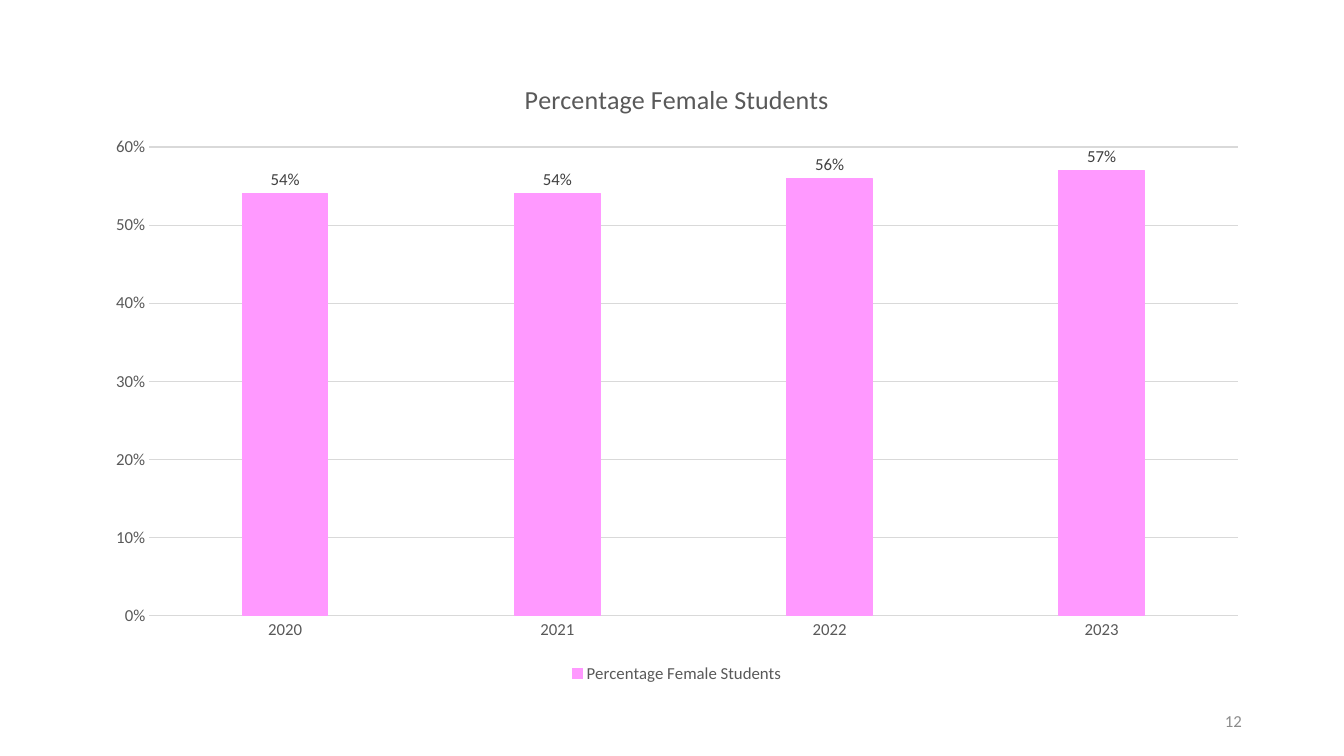
from pptx import Presentation
from pptx.chart.data import CategoryChartData
from pptx.dml.color import RGBColor
from pptx.enum.chart import XL_CHART_TYPE, XL_LABEL_POSITION, XL_LEGEND_POSITION, XL_TICK_MARK
from pptx.enum.text import MSO_ANCHOR, PP_ALIGN
from pptx.util import Cm, Pt

COLORS = {
    "bar": "FF99FF",
    "grid": "D9D9D9",
    "text": "595959",
    "label": "404040",
    "page": "8C8C8C",
}
TITLE = "Percentage Female Students"
SHARES = {"2020": 0.54, "2021": 0.54, "2022": 0.56, "2023": 0.57}


def set_attributes(target, values):
    for name, value in values.items():
        setattr(target, name, value)


def format_font(font, color, size=12):
    set_attributes(font, {"name": "Calibri", "size": Pt(size), "bold": False})
    font.color.rgb = RGBColor.from_string(COLORS[color])


def format_line(line, color):
    line.color.rgb = RGBColor.from_string(COLORS[color])
    line.width = Pt(0.75)


def format_axes(chart):
    for axis in (chart.category_axis, chart.value_axis):
        set_attributes(axis, {
            "major_tick_mark": XL_TICK_MARK.NONE,
            "minor_tick_mark": XL_TICK_MARK.NONE,
        })
        format_font(axis.tick_labels.font, "text")
    format_line(chart.category_axis.format.line, "grid")

    value_axis = chart.value_axis
    set_attributes(value_axis, {
        "minimum_scale": 0,
        "maximum_scale": 0.6,
        "major_unit": 0.1,
        "has_major_gridlines": True,
    })
    set_attributes(value_axis.tick_labels, {
        "number_format": "0%",
        "number_format_is_linked": False,
    })
    value_axis.format.line.fill.background()
    format_line(value_axis.major_gridlines.format.line, "grid")


def format_bars(plot):
    set_attributes(plot, {
        "gap_width": 219,
        "overlap": -27,
        "vary_by_categories": False,
    })
    series = plot.series[0]
    series.format.fill.solid()
    series.format.fill.fore_color.rgb = RGBColor.from_string(COLORS["bar"])
    format_line(series.format.line, "bar")
    labels = series.data_labels
    set_attributes(labels, {
        "show_value": True,
        "number_format": "0%",
        "number_format_is_linked": False,
        "position": XL_LABEL_POSITION.OUTSIDE_END,
    })
    format_font(labels.font, "label")


def add_share_chart(slide):
    data = CategoryChartData(number_format="0%")
    data.categories = list(SHARES)
    data.add_series(TITLE, list(SHARES.values()))
    chart = slide.shapes.add_chart(
        XL_CHART_TYPE.COLUMN_CLUSTERED,
        Cm(2.34), Cm(1.47), Cm(29.44), Cm(15.85), data,
    ).chart

    # Title and legend
    set_attributes(chart, {"has_title": True, "has_legend": True})
    title_paragraph = chart.chart_title.text_frame.paragraphs[0]
    title_run = title_paragraph.add_run()
    title_run.text = TITLE
    format_font(title_run.font, "text", 18.6)
    set_attributes(chart.legend, {
        "position": XL_LEGEND_POSITION.BOTTOM,
        "include_in_layout": False,
    })
    format_font(chart.legend.font, "text")

    format_axes(chart)
    format_bars(chart.plots[0])


def add_page_number(slide, number):
    text_box = slide.shapes.add_textbox(Cm(23.93), Cm(17.65), Cm(7.62), Cm(1.02))
    text_frame = text_box.text_frame
    set_attributes(text_frame, {
        "word_wrap": True,
        "vertical_anchor": MSO_ANCHOR.MIDDLE,
    })
    paragraph = text_frame.paragraphs[0]
    paragraph.alignment = PP_ALIGN.RIGHT
    run = paragraph.add_run()
    run.text = number
    format_font(run.font, "page")


def main():
    presentation = Presentation()
    presentation.slide_width = Cm(33.87)
    presentation.slide_height = Cm(19.05)
    slide = presentation.slides.add_slide(presentation.slide_layouts[6])
    add_share_chart(slide)
    add_page_number(slide, "12")
    presentation.save("out.pptx")


if __name__ == "__main__":
    main()
